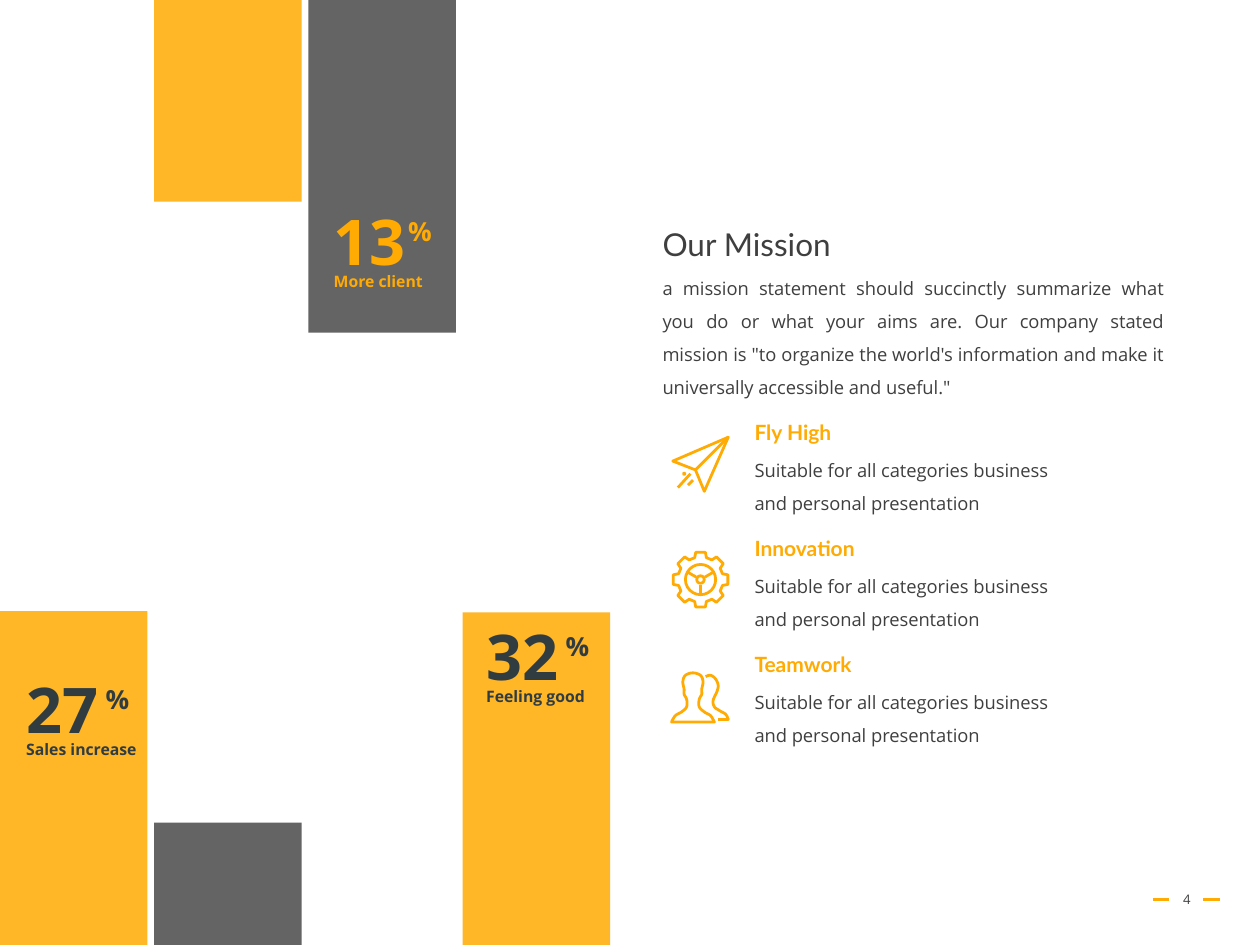
from math import cos, radians, sin
from lxml import etree
from pptx import Presentation
from pptx.dml.color import RGBColor
from pptx.enum import shapes, text
from pptx.oxml.ns import qn
from pptx.util import Inches, Pt

AMBER = RGBColor(0xFF, 0xAB, 0x03)
GREY = RGBColor(0x49, 0x49, 0x49)
INK = RGBColor(0x3F, 0x3F, 0x3F)
SLATE = RGBColor(0x31, 0x3C, 0x41)
SANS, HEAD = "Open Sans", "Lato"

# column, top, height, colour
BARS = [(0, 4.85, 2.65, AMBER), (1, 6.53, 0.97, GREY), (1, 0, 1.6, AMBER),
        (2, 0, 2.64, GREY), (3, 4.86, 2.64, AMBER)]
# left, top, number, label, colour
STATS = [(0.11, 5.27, "27", "Sales increase", SLATE),
         (2.55, 1.56, "13", "More client", AMBER),
         (3.76, 4.85, "32", "Feeling good", SLATE)]
VALUES = ["Fly High", "Innovation", "Teamwork"]
DETAIL = "Suitable for all categories business and personal presentation"
MISSION = ("a mission statement should succinctly summarize what you do or what "
           "your aims are. Our company stated mission is \"to organize the world's "
           "information and make it universally accessible and useful.\"")

WING = [(5.34, 3.66), (5.78, 3.47), (5.59, 3.9), (5.52, 3.73)]
TRAILS = [(5.52, 3.73, 5.78, 3.47), (5.38, 3.87, 5.48, 3.76),
          (5.46, 3.85, 5.5, 3.81)]
HUB = (5.56, 4.6)
TOOTH = [(-15, 0.18), (-10, 0.22), (10, 0.22), (15, 0.18)]
MID = 5.5  # axis of the front figure
BUST = [(0, 5.34), (0.06, 5.36), (0.08, 5.41), (0.07, 5.47), (0.07, 5.51),
        (0.05, 5.55), (0.05, 5.61), (0.09, 5.65), (0.14, 5.68), (0.17, 5.73)]
BACK = [(5.6, 5.37), (5.64, 5.36), (5.68, 5.39), (5.7, 5.44), (5.69, 5.49),
        (5.66, 5.56), (5.67, 5.61), (5.71, 5.64), (5.76, 5.67), (5.78, 5.71)]

prs = Presentation()
prs.slide_width, prs.slide_height = Inches(10), Inches(7.5)
slide = prs.slides.add_slide(prs.slide_layouts[6])
parts = slide.shapes


def write(words, x, y, w, h, size=10.5, font=SANS, color=INK, bold=False,
          align=text.PP_ALIGN.LEFT, space=None, wrap=True,
          anchor=text.MSO_ANCHOR.TOP):
    """Add one text box."""
    frame = parts.add_textbox(*map(Inches, (x, y, w, h))).text_frame
    frame.word_wrap, frame.vertical_anchor = wrap, anchor
    para = frame.paragraphs[0]
    para.alignment, para.line_spacing = align, space
    run = para.add_run()
    run.text = words
    run.font.size, run.font.name, run.font.bold = Pt(size), font, bold
    run.font.color.rgb = color


def bar(col, y, h, color):
    """Add a translucent column block."""
    box = parts.add_shape(shapes.MSO_SHAPE.RECTANGLE, Inches(col * 1.224),
                          Inches(y), Inches(1.17), Inches(h))
    box.shadow.inherit = False
    box.fill.solid()
    box.fill.fore_color.rgb = color
    tint = box.fill._xPr.find(".//" + qn("a:srgbClr"))
    etree.SubElement(tint, qn("a:alpha")).set("val", "85000")
    box.line.fill.background()


def stroke(shape, width=1.6):
    """Give a shape an amber outline only."""
    shape.shadow.inherit = False
    shape.fill.background()
    shape.line.color.rgb, shape.line.width = AMBER, Pt(width)


def line(x1, y1, x2, y2, width=1.6):
    """Add a straight amber line."""
    rule = parts.add_connector(shapes.MSO_CONNECTOR.STRAIGHT,
                               *map(Inches, (x1, y1, x2, y2)))
    rule.line.color.rgb, rule.line.width = AMBER, Pt(width)
    etree.SubElement(rule._element.spPr, qn("a:effectLst"))


def trace(points, close=True):
    """Add an outline through the points."""
    pts = [(Inches(x), Inches(y)) for x, y in points]
    pen = parts.build_freeform(*pts[0])
    pen.add_line_segments(pts[1:], close=close)
    stroke(pen.convert_to_shape())


def ring(x, y, r):
    """Add a circle about a centre."""
    stroke(parts.add_shape(shapes.MSO_SHAPE.OVAL,
                           *map(Inches, (x - r, y - r, 2 * r, 2 * r))))


def polar(angle, r):
    """Return a point around the gear's hub, clockwise from the top."""
    a = radians(angle)
    return HUB[0] + r * sin(a), HUB[1] - r * cos(a)


def smooth(pts, steps=6):
    """Return a Catmull-Rom curve through the points."""
    ends = [pts[0], *pts, pts[-1]]
    curve = []
    for a, b, c, d in zip(ends, ends[1:], ends[2:], ends[3:]):
        for t in (i / steps for i in range(steps)):
            curve.append(tuple(
                q + t * (r - p) / 2 + t * t * (p - 2.5 * q + 2 * r - s / 2)
                + t ** 3 * (3 * q - p - 3 * r + s) / 2
                for p, q, r, s in zip(a, b, c, d)))
    return curve + [pts[-1]]


for x in (9.15, 9.55):
    line(x, 7.14, x + 0.13, 7.14, 1.75)
write("4", 9.2, 6.94, 0.44, 0.4, size=7.5, align=text.PP_ALIGN.CENTER,
      anchor=text.MSO_ANCHOR.MIDDLE)

for item in BARS:
    bar(*item)
for x, y, num, label, color in STATS:
    look = dict(color=color, bold=True)
    write(num, x, y, 0.78, 0.71, size=36, wrap=False, **look)
    write(label, x, y + 0.55, 1.08, 0.25, size=9, **look)
    gap = 0.59 if num == "13" else 0.63
    write("%", x + gap, y + 0.1, 0.39, 0.35, size=15, wrap=False, **look)

write("Our Mission", 5.16, 1.74, 3.25, 0.4, size=18, font=HEAD)
write(MISSION, 5.16, 2.06, 4.18, 1.25, align=text.PP_ALIGN.JUSTIFY, space=1.5)
for i, name in enumerate(VALUES):
    y = 3.28 + 0.92 * i
    write(name, 5.89, y, 1, 0.3, size=12, font=HEAD, color=AMBER, bold=True,
          wrap=False)
    write(DETAIL, 5.89, y + 0.23, 2.61, 0.63, space=1.5)

trace(WING)
for trail in TRAILS:
    line(*trail)
ring(5.43, 3.76, 0.005)

trace([polar(45 * k + a, r) for k in range(8) for a, r in TOOTH])
for r in (0.12, 0.03):
    ring(*HUB, r)
for a in (-60, 60, 180):
    line(*polar(a, 0.04), *polar(a, 0.12))

left = [(MID - x, y) for x, y in BUST[:0:-1]]
trace(smooth(left + [(MID + x, y) for x, y in BUST]))
trace(smooth(BACK) + [(5.7, 5.71)], close=False)

prs.save("out.pptx")
